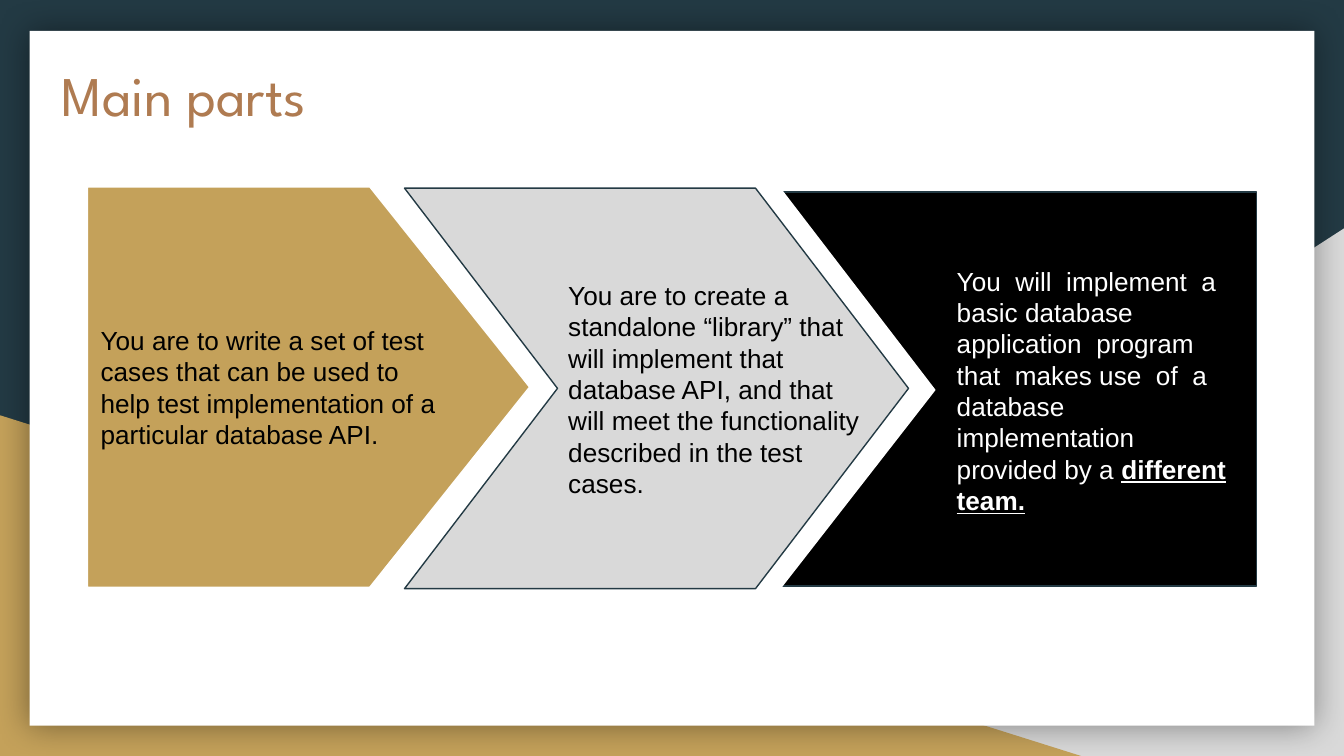
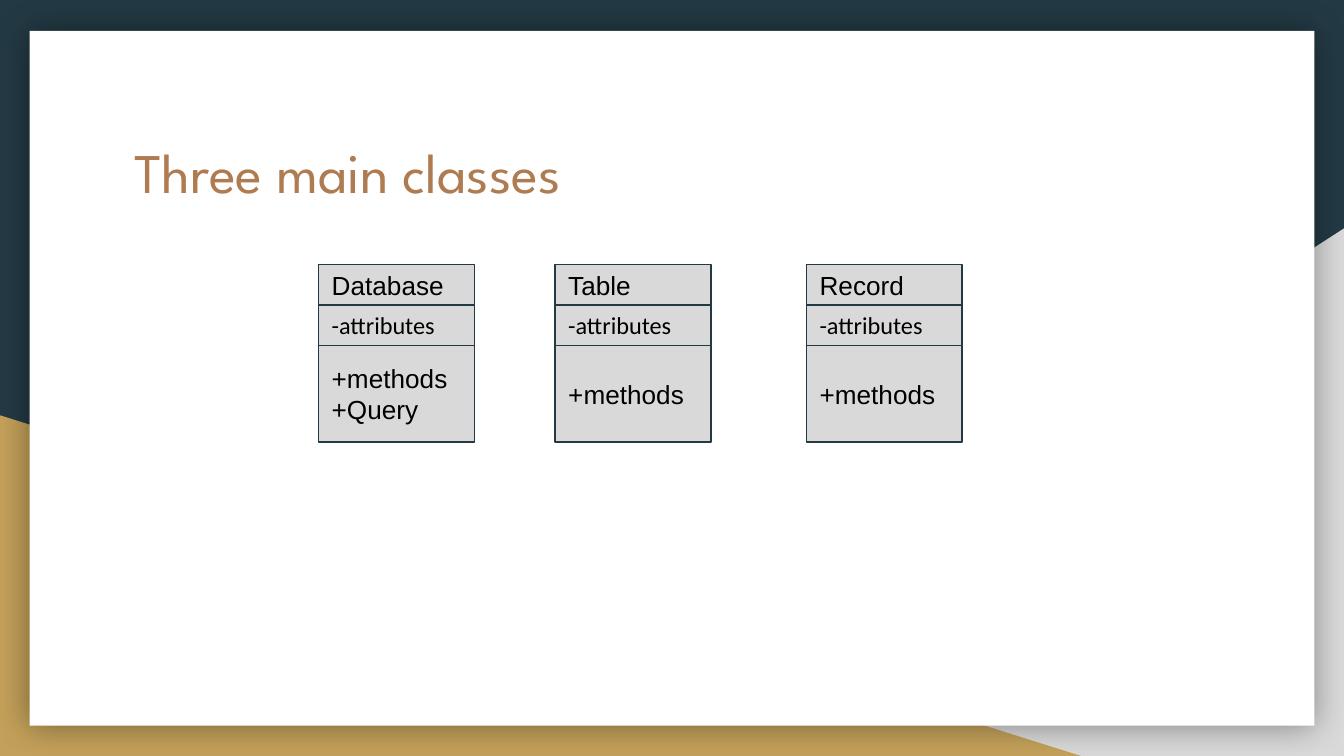
from lxml import etree
from pptx import Presentation
from pptx.dml.color import RGBColor
from pptx.enum import shapes, text
from pptx.oxml import ns
from pptx.util import Inches, Pt

NAVY = RGBColor(0x23, 0x3A, 0x44)
GOLD = RGBColor(0xC4, 0xA1, 0x5A)
GREY = RGBColor(0xD9, 0xD9, 0xD9)
COPPER = RGBColor(0xAF, 0x7B, 0x51)
WHITE = RGBColor(0xFF, 0xFF, 0xFF)
BLACK = RGBColor(0x00, 0x00, 0x00)
KIND = shapes.MSO_SHAPE


def draw(slide, kind, box, fill, line=None, adjust=None):
    shape = slide.shapes.add_shape(kind, *map(Inches, box))
    shape.shadow.inherit = False
    shape.fill.solid()
    shape.fill.fore_color.rgb = fill
    if line is None:
        shape.line.fill.background()
    else:
        shape.line.color.rgb = line
        shape.line.width = Pt(0.75)
    if adjust is not None:
        shape.adjustments[0] = adjust
    return shape


def write(shape, words, color=BLACK, size=14, font="Arial", anchor=text.MSO_ANCHOR.MIDDLE):
    frame = shape.text_frame
    frame.word_wrap = True
    frame.vertical_anchor = anchor
    frame.margin_left = frame.margin_right = Inches(0.1)
    frame.margin_top = frame.margin_bottom = Inches(0.1)
    paragraph = frame.paragraphs[0]
    paragraph.text = words
    paragraph.alignment = text.PP_ALIGN.LEFT
    paragraph.font.name = font
    paragraph.font.size = Pt(size)
    paragraph.font.color.rgb = color
    return paragraph


deck = Presentation()
deck.slide_width = Inches(10)
deck.slide_height = Inches(10) * 9 // 16
blank = deck.slide_layouts[6]
for placeholder in list(blank.placeholders):
    blank.shapes.element.remove(placeholder.element)
blank.background.fill.solid()
blank.background.fill.fore_color.rgb = NAVY

parts = deck.slides.add_slide(blank)
classes = deck.slides.add_slide(blank)

grey_corner = draw(parts, KIND.RIGHT_TRIANGLE, (3.92, 1.7, 6.08, 3.93), GREY)
grey_corner.element.spPr.xfrm.set("flipH", "1")
gold_corner = draw(parts, KIND.RIGHT_TRIANGLE, (0, 3.09, 8.06, 2.54), GOLD)
card = draw(parts, KIND.RECTANGLE, (0.22, 0.23, 9.56, 5.17), WHITE)
effects = card.element.spPr.find(ns.qn("a:effectLst"))
glow = etree.SubElement(effects, ns.qn("a:outerShdw"), blurRad=str(Pt(18)), dist="0", dir="0",
                        algn="ctr", rotWithShape="0")
tint = etree.SubElement(glow, ns.qn("a:srgbClr"), val=str(BLACK))
etree.SubElement(tint, ns.qn("a:alpha"), val="40000")
for backdrop in (grey_corner, gold_corner, card):
    blank.shapes.element.append(backdrop.element)

for slide, heading, left, top in (
    (parts, "Main parts", 0.36, 0.35),
    (classes, "Three main classes", 0.9, 0.92),
):
    title = slide.shapes.add_textbox(Inches(left), Inches(top), Inches(8.21), Inches(1.04))
    write(title, heading, COPPER, 30, "League Spartan", text.MSO_ANCHOR.TOP)

draw(parts, KIND.RECTANGLE, (5.82, 1.43, 3.53, 2.93), BLACK, NAVY)
notch = draw(parts, KIND.ISOSCELES_TRIANGLE, (4.91, 2.32, 2.95, 1.14), WHITE, WHITE, 0.504)
notch.rotation = 90
application = parts.shapes.add_textbox(Inches(7.02), Inches(1.44), Inches(2.28), Inches(2.93))
sentence = write(
    application,
    "You  will  implement  a  basic database  application  program  that  makes use  of  a  "
    "database implementation provided by a ",
    WHITE,
)
emphasis = sentence.add_run()
emphasis.text = "different team."
emphasis.font.bold = True
emphasis.font.underline = True

tests = draw(parts, KIND.PENTAGON, (0.65, 1.39, 3.29, 2.98), GOLD, WHITE, 0.399)
write(tests, "You are to write a set of test cases that can be used to help test "
             "implementation of a particular database API.")
draw(parts, KIND.CHEVRON, (3.01, 1.4, 3.75, 2.98), GREY, NAVY, 0.382)
library = parts.shapes.add_textbox(Inches(4.13), Inches(1.55), Inches(2.46), Inches(2.69))
write(library, "You are to create a standalone “library” that will implement that database API, "
               "and that will meet the functionality described in the test cases.")

for left, name, methods in (
    (2.37, "Database", "+methods\n+Query"),
    (4.13, "Table", "+methods"),
    (6, "Record", "+methods"),
):
    top = 1.97
    for words, height, size, font in (
        (name, 0.3, 14, "Arial"),
        ("-attributes", 0.3, 13, "Calibri"),
        (methods, 0.72, 14, "Arial"),
    ):
        row = draw(classes, KIND.RECTANGLE, (left, top, 1.16, height), GREY, NAVY)
        write(row, words, size=size, font=font)
        top += height

deck.save("out.pptx")
